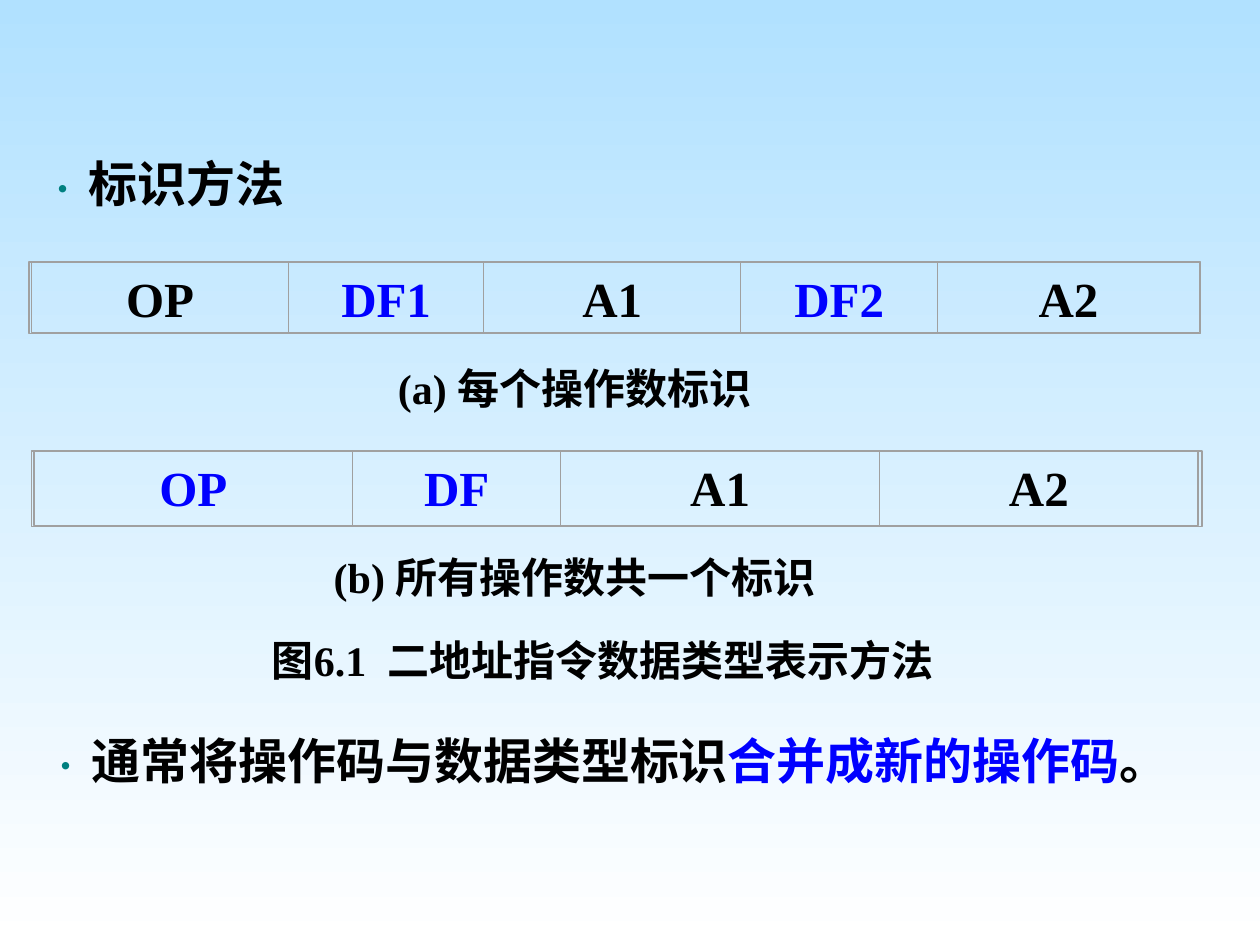
import pptx
import pptx.util
from pptx.dml.color import RGBColor
from pptx.enum.shapes import MSO_SHAPE
from pptx.enum.text import MSO_AUTO_SIZE, PP_ALIGN
from lxml import etree

Inches, Pt = pptx.util.Inches, pptx.util.Pt
LATIN, CJK = "Times New Roman", "Noto Sans CJK SC"
BLACK, BLUE, TEAL, GRAY = "000000", "0000FF", "008080", "A0A0A0"
NS = "http://schemas.openxmlformats.org/drawingml/2006/main"
STD_INSETS = (0.1, 0.05, 0.1, 0.05)

FORMATS = [
    dict(left=0.25, top=2.08, height=0.56, pad=0.24, insets=(0.02, 0.05, 0.02, 0.01),
         frame=(0.23, 2.08, 9.3, 0.57),
         fields=[("OP", 2.04, BLACK), ("DF1", 1.55, BLUE), ("A1", 2.04, BLACK),
                 ("DF2", 1.56, BLUE), ("A2", 2.08, BLACK)]),
    dict(left=0.27, top=3.58, height=0.59, pad=0.29, insets=STD_INSETS,
         frame=(0.25, 3.58, 9.29, 0.6),
         fields=[("OP", 2.53, BLUE), ("DF", 1.65, BLUE), ("A1", 2.53, BLACK),
                 ("A2", 2.53, BLACK)]),
]
CAPTIONS = [
    ((3.06, 2.83, 3.16, 0.5), "(a) 每个操作数标识"),
    ((2.55, 4.33, 4.18, 0.5), "(b) 所有操作数共一个标识"),
    ((2.06, 4.99, 5.68, 0.5), "图6.1  二地址指令数据类型表示方法"),
]
HEADING = [(" ", 20, LATIN, TEAL, False), ("• ", 20, "Arial", TEAL, False),
           ("标识方法", 28, CJK, BLACK, True)]
SUMMARY = [("• ", 20, "Arial", TEAL, False),
           ("通常将操作码与数据类型标识", 28, LATIN, BLACK, True),
           ("合并成新的操作码", 28, LATIN, BLUE, True),
           ("。", 28, LATIN, BLACK, True)]


def rgb(color):
    return RGBColor.from_string(color)


def add_text(shapes, box, runs, insets=STD_INSETS, wrap=True, grow=False,
             align=PP_ALIGN.LEFT):
    tf = shapes.add_textbox(*map(Inches, box)).text_frame
    tf.margin_left, tf.margin_top, tf.margin_right, tf.margin_bottom = map(Inches, insets)
    tf.word_wrap = wrap
    tf.auto_size = MSO_AUTO_SIZE.SHAPE_TO_FIT_TEXT if grow else MSO_AUTO_SIZE.NONE
    p = tf.paragraphs[0]
    p.alignment = align
    for text, size, font, color, bold in runs:
        r = p.add_run()
        r.text = text
        r.font.size, r.font.name, r.font.bold = Pt(size), font, bold
        r.font.color.rgb = rgb(color)
        ea = etree.Element(f"{{{NS}}}ea", typeface=CJK)
        r.font._element.find(f"{{{NS}}}latin").addnext(ea)
    return p


def add_outline(shapes, box, width):
    sp = shapes.add_shape(MSO_SHAPE.RECTANGLE, *map(Inches, box))
    sp.shadow.inherit = False
    sp.fill.background()
    sp.line.color.rgb = rgb(GRAY)
    sp.line.width = Pt(width)


def add_format(s, left, top, height, pad, insets, frame, fields):
    shapes = s.shapes.add_group_shape().shapes
    for label, width, color in fields:
        add_text(shapes, (left + pad, top, width - 2 * pad, height),
                 [(label, 28, LATIN, color, True)], insets, align=PP_ALIGN.CENTER)
        add_outline(shapes, (left, top, width, height), 0)
        left += width
    add_outline(shapes, frame, 0.75)


def main():
    prs = pptx.Presentation()
    prs.slide_width, prs.slide_height = Inches(10), Inches(7.5)
    s = prs.slides.add_slide(prs.slide_layouts[6])
    fill = s.background.fill
    fill.gradient()
    fill.gradient_angle = 270
    for stop, position, color in zip(fill.gradient_stops, (0, 1), ("B1E1FF", "FFFFFF")):
        stop.position = position
        stop.color.rgb = rgb(color)

    p = add_text(s.shapes, (0.2, 1.08, 3.41, 0.66), HEADING, grow=True)
    p.line_spacing = 1.2
    pPr = p._p.get_or_add_pPr()
    pPr.set("marL", str(Inches(0.31)))
    pPr.set("indent", str(Inches(-0.31)))
    for row in FORMATS:
        add_format(s, **row)
    for box, text in CAPTIONS:
        add_text(s.shapes, box, [(text, 24, LATIN, BLACK, True)], wrap=False, grow=True)
    add_text(s.shapes, (0.29, 5.75, 9, 0.57), SUMMARY, grow=True)
    prs.save("out.pptx")


if __name__ == "__main__":
    main()
